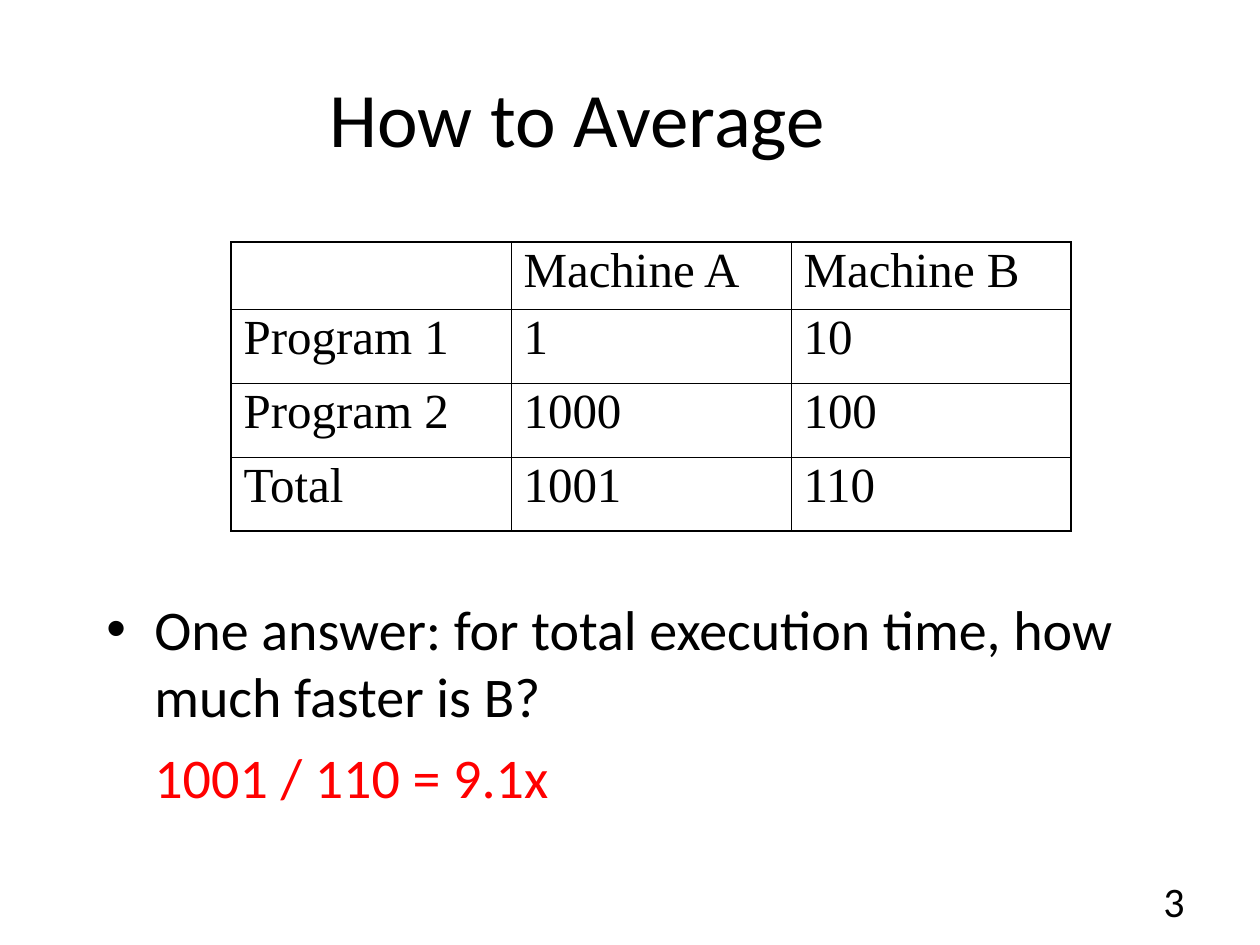
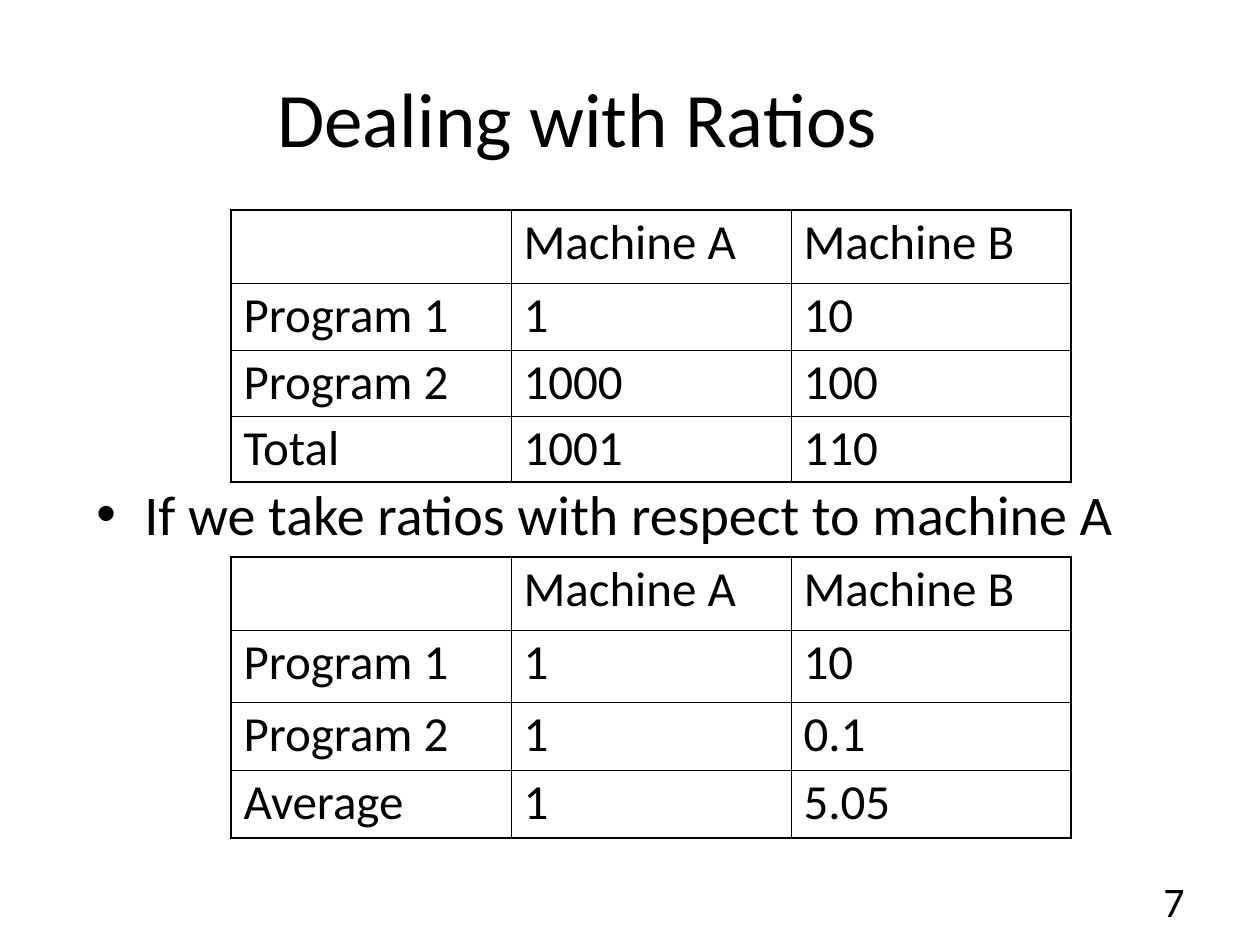
import pptx
import pptx.dml.color
import pptx.enum.text
import pptx.oxml
import pptx.oxml.ns
import pptx.util

BLACK = pptx.dml.color.RGBColor(0x00, 0x00, 0x00)
RED = pptx.dml.color.RGBColor(0xFF, 0x00, 0x00)
SANS = "Calibri"
SERIF = "Times New Roman"
PX_PER_INCH = 126
OUTER_RULE = pptx.util.Pt(1.08)
INNER_RULE = pptx.util.Pt(0.45)
HANGING = 48
TITLE_BOX = (63, 38, 1029, 158)
PAGE_NUMBER_BOX = (1050, 876, 147, 50)

MACHINES = ("", "Machine A", "Machine B")
TIMES = (
    MACHINES,
    ("Program 1", "1", "10"),
    ("Program 2", "1000", "100"),
    ("Total", "1001", "110"),
)
RATIOS = (
    MACHINES,
    ("Program 1", "1", "10"),
    ("Program 2", "1", "0.1"),
    ("Average", "1", "5.05"),
)


def px(length):
    """Turn a length in px into EMU."""
    return pptx.util.Emu(round(length * 914400 / PX_PER_INCH))


def format_runs(paragraph, size, font=SANS, colour=BLACK):
    """Give every run of a paragraph its size, font and colour."""
    for run in paragraph.runs:
        run.font.size = pptx.util.Pt(size)
        run.font.name = font
        run.font.color.rgb = colour


def add_text_frame(slide, box):
    """Add a wrapping text box and return its text frame."""
    frame = slide.shapes.add_textbox(*map(px, box)).text_frame
    frame.word_wrap = True
    return frame


def add_line(slide, box, text, size, alignment):
    """Add one vertically centred line of text."""
    frame = add_text_frame(slide, box)
    frame.vertical_anchor = pptx.enum.text.MSO_ANCHOR.MIDDLE
    frame.text = text
    frame.paragraphs[0].alignment = alignment
    format_runs(frame.paragraphs[0], size)


def set_indent(paragraph, bulleted):
    """Indent a paragraph, hanging a bullet in the margin if asked."""
    properties = paragraph._p.get_or_add_pPr()
    properties.set("marL", str(px(HANGING)))
    properties.set("indent", str(-px(HANGING) if bulleted else 0))
    namespace = pptx.oxml.ns.nsdecls("a")
    if bulleted:
        properties.append(pptx.oxml.parse_xml(f'<a:buFont {namespace} typeface="Arial"/>'))
        properties.append(pptx.oxml.parse_xml(f'<a:buChar {namespace} char="•"/>'))
    else:
        properties.append(pptx.oxml.parse_xml(f"<a:buNone {namespace}/>"))


def add_body(slide, box, statement, answer=None):
    """Add a bulleted statement and, below it, an optional red answer."""
    frame = add_text_frame(slide, box)
    frame.text = statement
    set_indent(frame.paragraphs[0], bulleted=True)
    format_runs(frame.paragraphs[0], 32)
    if answer:
        result = frame.add_paragraph()
        result.text = answer
        set_indent(result, bulleted=False)
        result.space_before = pptx.util.Pt(8)
        format_runs(result, 32, colour=RED)


def set_borders(cell, outer_sides):
    """Rule a cell, heavier on the sides that lie on the table's edge."""
    properties = cell._tc.get_or_add_tcPr()
    for position, side in enumerate("LRTB"):
        width = OUTER_RULE if side in outer_sides else INNER_RULE
        properties.insert(position, pptx.oxml.parse_xml(
            f'<a:ln{side} {pptx.oxml.ns.nsdecls("a")} w="{width}"><a:solidFill>'
            f'<a:srgbClr val="{BLACK}"/></a:solidFill></a:ln{side}>'))


def add_timings(slide, box, row_heights, values, font):
    """Add a ruled table of values with equal columns."""
    left, top, width = box
    row_count, column_count = len(values), len(values[0])
    table = slide.shapes.add_table(
        row_count, column_count, *map(px, (left, top, width, sum(row_heights)))).table
    table.first_row = False
    table.horz_banding = False
    for column in table.columns:
        column.width = px(width // column_count)
    for r, (height, row) in enumerate(zip(row_heights, values)):
        table.rows[r].height = px(height)
        for c, value in enumerate(row):
            cell = table.cell(r, c)
            cell.fill.background()
            edges = {"L": c == 0, "R": c == column_count - 1,
                     "T": r == 0, "B": r == row_count - 1}
            set_borders(cell, [side for side, outer in edges.items() if outer])
            cell.text_frame.text = value
            paragraph = cell.text_frame.paragraphs[0]
            paragraph.line_spacing = 0.9
            format_runs(paragraph, 28, font)


def add_titled_slide(deck, title, number):
    """Add a blank slide with its title and page number."""
    slide = deck.slides.add_slide(deck.slide_layouts[6])
    add_line(slide, TITLE_BOX, title, 44, pptx.enum.text.PP_ALIGN.CENTER)
    add_line(slide, PAGE_NUMBER_BOX, number, 24, pptx.enum.text.PP_ALIGN.RIGHT)
    return slide


def add_average_slide(deck):
    """Build the slide that compares total execution times."""
    slide = add_titled_slide(deck, "How to Average", "3")
    add_body(slide, (94, 588, 1071, 252),
             "One answer: for total execution time, how much faster is B?",
             "1001 / 110 = 9.1x")
    add_timings(slide, (231, 242, 840), (67, 74, 74, 74), TIMES, SERIF)


def add_ratios_slide(deck):
    """Build the slide that sets times against their ratios."""
    slide = add_titled_slide(deck, "Dealing with Ratios", "7")
    add_body(slide, (84, 473, 1071, 95), "If we take ratios with respect to machine A")
    add_timings(slide, (231, 210, 840), (73, 67, 66, 66), TIMES, SANS)
    add_timings(slide, (231, 557, 840), (73, 72, 68, 68), RATIOS, SANS)


def main():
    """Build and save the deck."""
    deck = pptx.Presentation()
    deck.slide_width = px(1260)
    deck.slide_height = px(945)
    add_average_slide(deck)
    add_ratios_slide(deck)
    deck.save("out.pptx")


if __name__ == "__main__":
    main()
